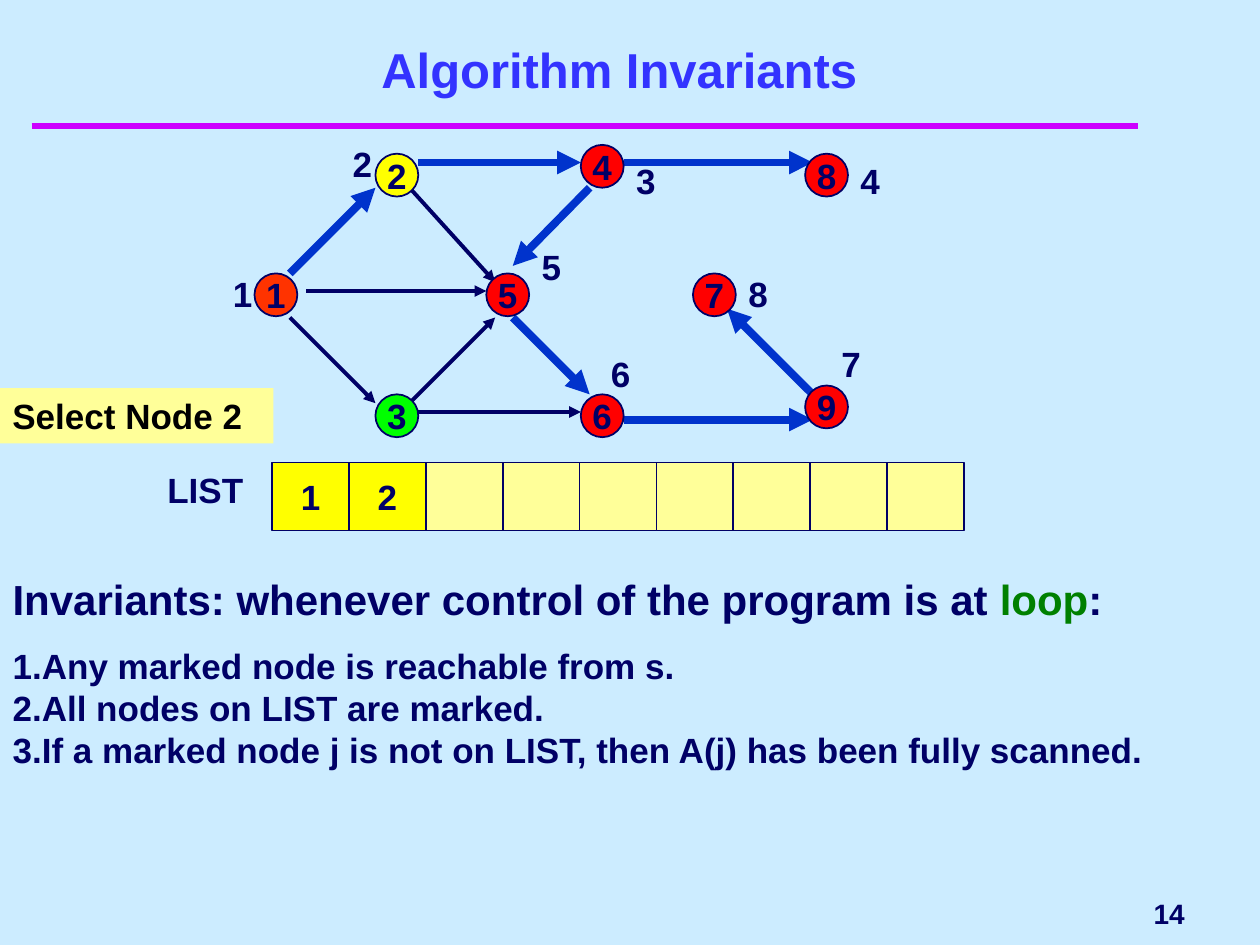
"""Build the 'Algorithm Invariants' slide: a search graph, its LIST and the loop invariants."""
from dataclasses import dataclass

from lxml.etree import SubElement
from pptx import Presentation
from pptx.dml.color import RGBColor
from pptx.enum.shapes import MSO_CONNECTOR, MSO_SHAPE
from pptx.enum.text import MSO_ANCHOR, MSO_AUTO_SIZE, PP_ALIGN
from pptx.oxml.ns import qn
from pptx.util import Inches, Pt


@dataclass(frozen=True)
class Theme:
    font: str = "Arial"
    background: str = "CCECFF"
    ink: str = "000066"
    title: str = "3333FF"
    rule: str = "CC00FF"
    path_edge: str = "0033CC"
    loop: str = "008000"
    black: str = "000000"
    start: str = "FF3300"
    marked: str = "FF0000"
    selected: str = "FFFF00"
    unmarked: str = "00FF00"
    pale: str = "FFFF99"
    title_size: float = 28
    heading_size: float = 24
    text_size: float = 20
    number_size: float = 16


THEME = Theme()

TITLE = "Algorithm Invariants"
SLIDE_NUMBER = "14"
STEP = "Select Node 2"
HEADING = [
    ("Invariants: whenever control of the program is at ", THEME.ink),
    ("loop", THEME.loop),
    (":", THEME.ink),
]
INVARIANTS = [
    "Any marked node is reachable from s.",
    "All nodes on LIST are marked.",
    "If a marked node j is not on LIST, then A(j) has been fully scanned.",
]
LIST_ENTRIES = ["1", "2"]
LIST_LENGTH = 9
CELL_LEFT, CELL_TOP, CELL_WIDTH, CELL_HEIGHT = 2.16, 3.67, 0.61, 0.54

NODE_SIZE = 0.34
NODES = [
    ("1", 2.02, 2.17, THEME.start),
    ("2", 2.98, 1.22, THEME.selected),
    ("3", 2.98, 3.13, THEME.unmarked),
    ("4", 4.61, 1.15, THEME.marked),
    ("5", 3.86, 2.17, THEME.marked),
    ("6", 4.61, 3.13, THEME.marked),
    ("7", 5.5, 2.17, THEME.marked),
    ("8", 6.39, 1.22, THEME.marked),
    ("9", 6.39, 3.06, THEME.marked),
]
LABEL_WIDTH, LABEL_HEIGHT = 0.35, 0.44
ORDER_LABELS = [
    ("1", 1.75, 2.11),
    ("2", 2.7, 1.08),
    ("3", 4.95, 1.22),
    ("4", 6.73, 1.22),
    ("5", 4.2, 1.9),
    ("6", 4.75, 2.75),
    ("7", 6.58, 2.67),
    ("8", 5.84, 2.11),
]
PLAIN_EDGES = [
    (2.43, 2.31, 3.86, 2.31),
    (2.3, 2.52, 2.98, 3.2),
    (3.25, 1.49, 3.93, 2.24),
    (3.25, 3.2, 3.93, 2.52),
    (3.32, 3.27, 4.61, 3.27),
]
PATH_EDGES = [
    (2.3, 2.17, 2.98, 1.49),
    (3.32, 1.29, 4.61, 1.29),
    (4.95, 1.29, 6.45, 1.29),
    (4.68, 1.49, 4.07, 2.11),
    (4.07, 2.52, 4.68, 3.13),
    (4.95, 3.33, 6.45, 3.33),
    (6.45, 3.13, 5.77, 2.45),
]


def rgb(color):
    return RGBColor.from_string(color)


def style_font(font, size, color):
    font.name = THEME.font
    font.size = Pt(size)
    font.bold = True
    font.color.rgb = rgb(color)


def place(shape, left, top, width, height):
    shape.left, shape.top = Inches(left), Inches(top)
    shape.width, shape.height = Inches(width), Inches(height)


def write(shape, text, size=THEME.text_size, color=THEME.ink,
          align=PP_ALIGN.LEFT, anchor=MSO_ANCHOR.TOP, wrap=True):
    frame = shape.text_frame
    frame.word_wrap = wrap
    frame.auto_size = MSO_AUTO_SIZE.NONE
    frame.vertical_anchor = anchor
    paragraph = frame.paragraphs[0]
    paragraph.text = text
    paragraph.alignment = align
    style_font(paragraph.font, size, color)


def add_text(slide, box, text, **options):
    write(slide.shapes.add_textbox(*map(Inches, box)), text, **options)


def add_block(slide, kind, box, fill, text="", outlined=True, **options):
    shape = slide.shapes.add_shape(kind, *map(Inches, box))
    shape.shadow.inherit = False
    shape.fill.solid()
    shape.fill.fore_color.rgb = rgb(fill)
    if outlined:
        shape.line.color.rgb = rgb(THEME.ink)
        shape.line.width = Pt(1)
    else:
        shape.line.fill.background()
    if text:
        write(shape, text, **options)


def add_line(slide, ends, color, width, arrow=True):
    connector = slide.shapes.add_connector(MSO_CONNECTOR.STRAIGHT, *map(Inches, ends))
    connector.line.color.rgb = rgb(color)
    connector.line.width = Pt(width)
    properties = connector._element.spPr
    if arrow:
        SubElement(properties.find(qn("a:ln")), qn("a:tailEnd"), type="triangle")
    SubElement(properties, qn("a:effectLst"))


def set_bullet(paragraph, tag, **attributes):
    properties = paragraph._p.get_or_add_pPr()
    properties.set("marL", "0")
    properties.set("indent", "0")
    SubElement(properties, qn(tag), **attributes)


def fill_invariants(body):
    place(body, 0, 4.5, 9.67, 1.67)
    frame = body.text_frame
    frame.word_wrap = True
    frame.auto_size = MSO_AUTO_SIZE.NONE
    heading = frame.paragraphs[0]
    heading.space_before, heading.space_after = Pt(0), Pt(12)
    set_bullet(heading, "a:buNone")
    for text, color in HEADING:
        run = heading.add_run()
        run.text = text
        style_font(run.font, THEME.heading_size, color)
    for text in INVARIANTS:
        paragraph = frame.add_paragraph()
        paragraph.text = text
        paragraph.space_before = Pt(0)
        set_bullet(paragraph, "a:buAutoNum", type="arabicPeriod")
        style_font(paragraph.font, THEME.text_size, THEME.ink)


def main():
    presentation = Presentation()
    presentation.slide_width, presentation.slide_height = Inches(10), Inches(7.5)
    slide = presentation.slides.add_slide(presentation.slide_layouts[1])
    slide.background.fill.solid()
    slide.background.fill.fore_color.rgb = rgb(THEME.background)
    centred = {"align": PP_ALIGN.CENTER, "anchor": MSO_ANCHOR.MIDDLE, "wrap": False}

    title = slide.shapes.title
    place(title, 0.5, 0.25, 8.83, 0.58)
    write(title, TITLE, THEME.title_size, THEME.title, PP_ALIGN.CENTER, MSO_ANCHOR.BOTTOM)
    fill_invariants(slide.placeholders[1])
    add_line(slide, (0.25, 1, 9.03, 1), THEME.rule, 4, arrow=False)
    add_text(slide, (7.58, 7, 1.92, 0.5), SLIDE_NUMBER, size=THEME.number_size,
             align=PP_ALIGN.RIGHT, anchor=MSO_ANCHOR.MIDDLE)
    add_block(slide, MSO_SHAPE.RECTANGLE, (0, 3.08, 2.17, 0.44), THEME.pale, STEP,
              outlined=False, color=THEME.black)

    add_text(slide, (1.23, CELL_TOP, 1.02, 0.44), "LIST", wrap=False)
    for index in range(LIST_LENGTH):
        used = index < len(LIST_ENTRIES)
        box = (CELL_LEFT + index * CELL_WIDTH, CELL_TOP, CELL_WIDTH, CELL_HEIGHT)
        add_block(slide, MSO_SHAPE.RECTANGLE, box, THEME.selected if used else THEME.pale,
                  LIST_ENTRIES[index] if used else "", **centred)

    for text, left, top in ORDER_LABELS:
        add_text(slide, (left, top, LABEL_WIDTH, LABEL_HEIGHT), text)
    for ends in PLAIN_EDGES:
        add_line(slide, ends, THEME.ink, 2.25)
    for ends in PATH_EDGES:
        add_line(slide, ends, THEME.path_edge, 4.5)
    for text, left, top, fill in NODES:
        add_block(slide, MSO_SHAPE.OVAL, (left, top, NODE_SIZE, NODE_SIZE), fill, text, **centred)

    presentation.save("out.pptx")


if __name__ == "__main__":
    main()
